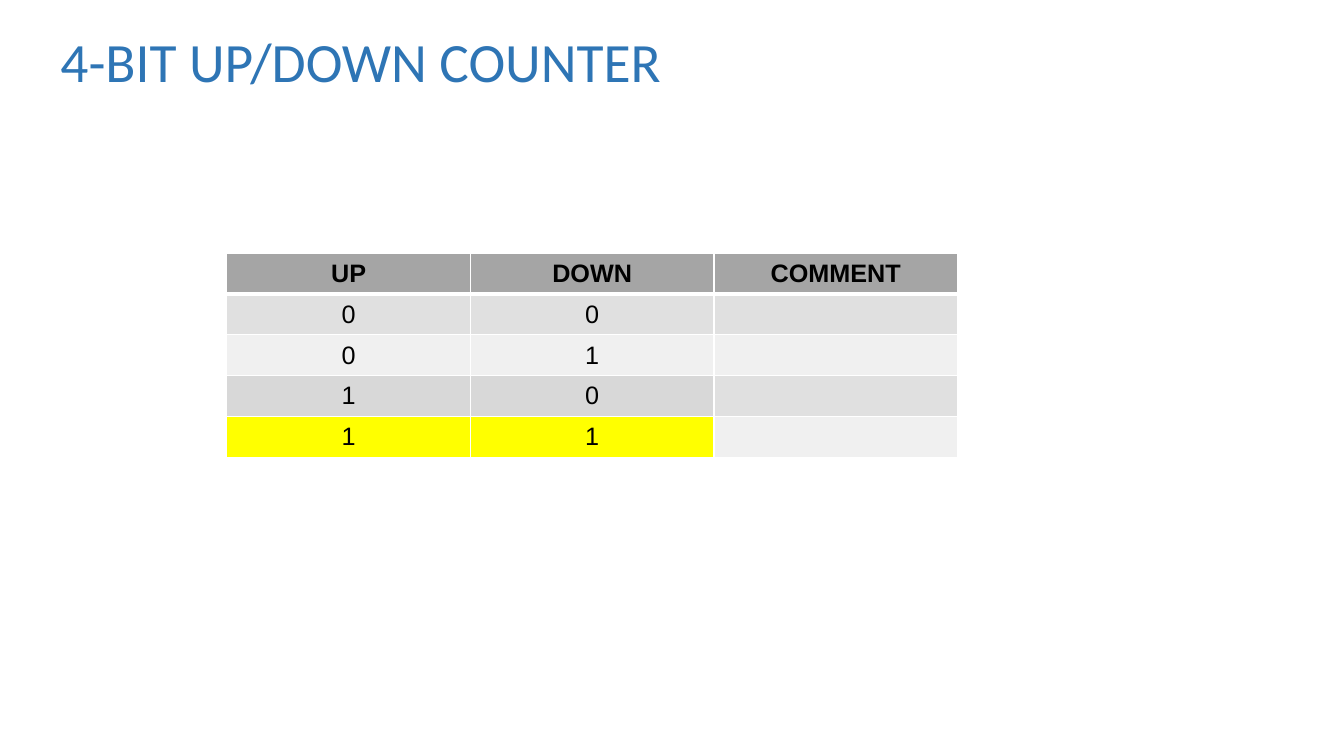
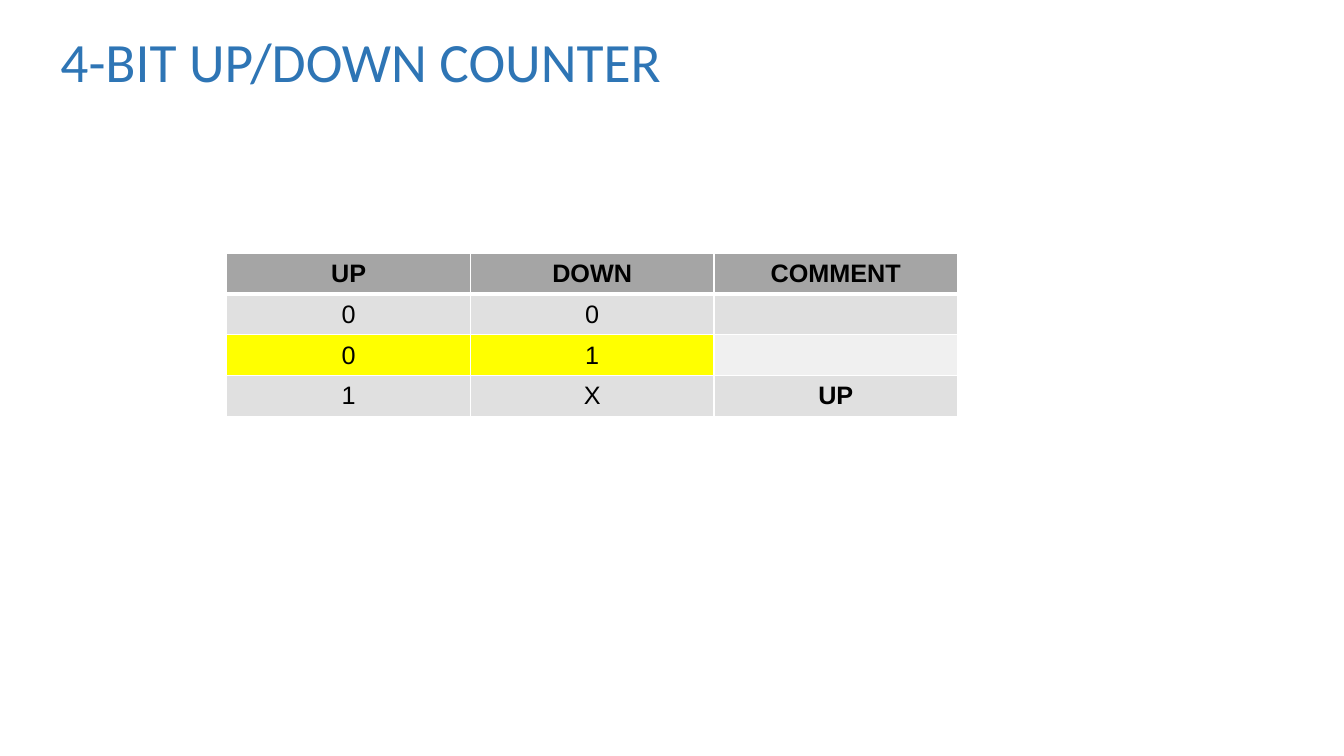
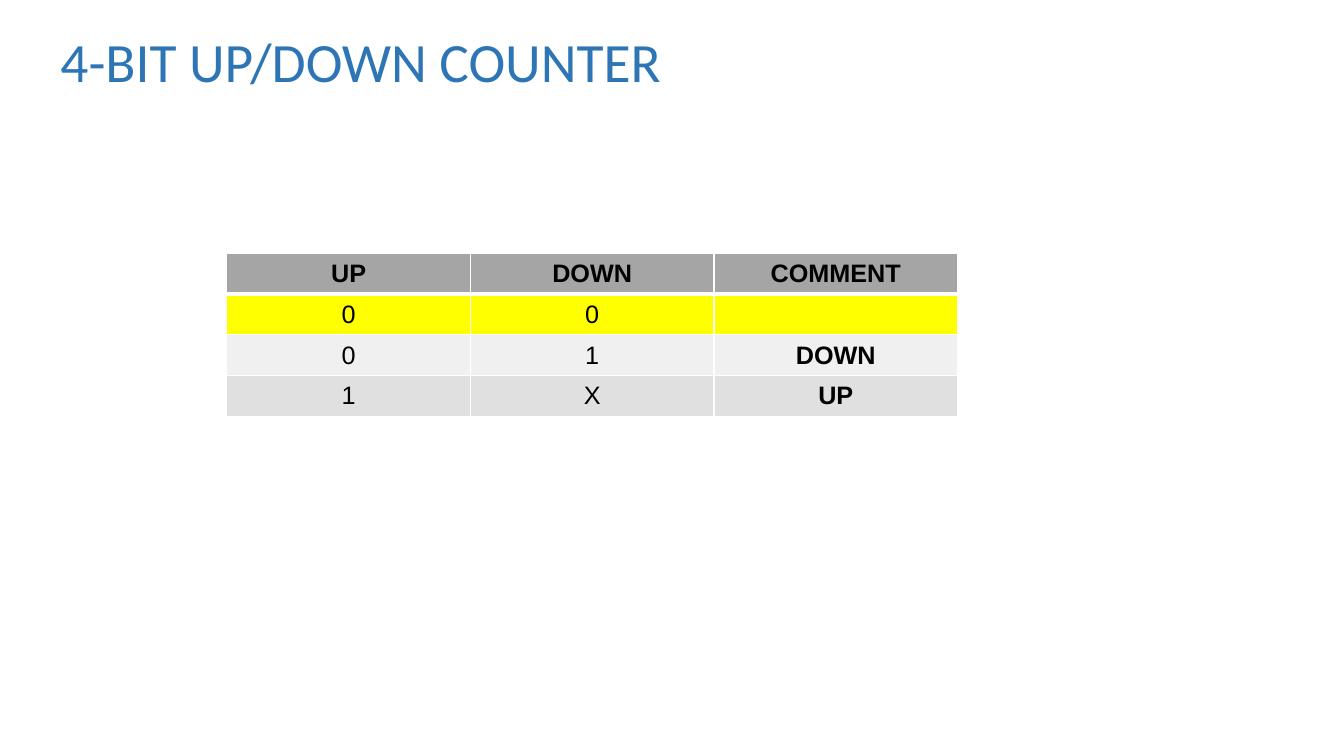
from dataclasses import dataclass

from lxml.etree import SubElement
from pptx import Presentation
from pptx.dml.color import RGBColor
from pptx.enum.text import MSO_ANCHOR, MSO_AUTO_SIZE, PP_ALIGN
from pptx.oxml.ns import qn
from pptx.util import Pt

EMU_PER_PX = 9525


@dataclass(frozen=True)
class Theme:
    title_colour: str = "2E75B5"
    text_colour: str = "000000"
    border: str = "FFFFFF"
    header: str = "A5A5A5"
    bands: tuple = ("E0E0E0", "F0F0F0")
    marked: str = "FFFF00"
    shaded: str = "D8D8D8"
    title_font: str = "Calibri"
    body_font: str = "Arial"
    title_size: float = 39.6
    body_size: float = 18
    thin: int = 1
    thick: int = 3


THEME = Theme()

SLIDE_SIZE = (1280, 720)
TITLE_BOX = (48, 33, 731, 116)
TABLE_ORIGIN = (216, 241)
COLUMN_WIDTH, ROW_HEIGHT = 232, 39

TITLE = "4-BIT UP/DOWN COUNTER"
HEADINGS = ("UP", "DOWN", "COMMENT")

# Each slide: the table rows, and {row: (colour, number of cells from the left)}
STEPS = (
    (
        (("0", "0", ""), ("0", "1", ""), ("1", "0", ""), ("1", "1", "")),
        {3: (THEME.shaded, 2), 4: (THEME.marked, 2)},
    ),
    (
        (("0", "0", ""), ("0", "1", ""), ("1", "X", "UP")),
        {2: (THEME.marked, 2)},
    ),
    (
        (("0", "0", ""), ("0", "1", "DOWN"), ("1", "X", "UP")),
        {1: (THEME.marked, 3)},
    ),
)


def px(length):
    return length * EMU_PER_PX


def add_text(paragraph, text, font_name, size, colour, bold=False):
    run = paragraph.add_run()
    run.text = text
    run.font.name = font_name
    run.font.size = Pt(size)
    run.font.bold = bold
    run.font.color.rgb = RGBColor.from_string(colour)


def place_title(slide, box):
    title = slide.shapes.title
    title.left, title.top, title.width, title.height = map(px, box)
    frame = title.text_frame
    frame.word_wrap = True
    frame.auto_size = MSO_AUTO_SIZE.NONE
    frame.vertical_anchor = MSO_ANCHOR.TOP
    frame.margin_top = 0
    paragraph = frame.paragraphs[0]
    paragraph.alignment = PP_ALIGN.LEFT
    paragraph.line_spacing = 0.9
    add_text(paragraph, TITLE, THEME.title_font, THEME.title_size,
             THEME.title_colour)


def set_borders(cell, top, bottom):
    properties = cell._tc.get_or_add_tcPr()
    sides = (("a:lnL", THEME.thin), ("a:lnR", THEME.thin),
             ("a:lnT", top), ("a:lnB", bottom))
    for tag, width in sides:
        line = SubElement(properties, qn(tag), w=str(Pt(width)))
        fill = SubElement(line, qn("a:solidFill"))
        SubElement(fill, qn("a:srgbClr"), val=THEME.border)


def cell_fill(row, column, highlights):
    if row == 0:
        return THEME.header
    colour, count = highlights.get(row, (None, 0))
    return colour if column < count else THEME.bands[(row - 1) % 2]


def format_cell(cell, text, row, column, colour):
    # Borders go in ahead of the fill, with a thick rule under the header
    set_borders(cell,
                top=THEME.thick if row == 1 else THEME.thin,
                bottom=THEME.thick if row == 0 else THEME.thin)
    cell.fill.solid()
    cell.fill.fore_color.rgb = RGBColor.from_string(colour)
    cell.vertical_anchor = MSO_ANCHOR.MIDDLE
    if text:
        paragraph = cell.text_frame.paragraphs[0]
        paragraph.alignment = PP_ALIGN.CENTER
        is_comment = column == len(HEADINGS) - 1
        add_text(paragraph, text, THEME.body_font, THEME.body_size,
                 THEME.text_colour, bold=row == 0 or is_comment)


def place_truth_table(slide, origin, body, highlights):
    rows = (HEADINGS, *body)
    left, top = origin
    table = slide.shapes.add_table(
        len(rows), len(HEADINGS), px(left), px(top),
        px(COLUMN_WIDTH * len(HEADINGS)), px(ROW_HEIGHT * len(rows))).table
    table.horz_banding = False
    for column in table.columns:
        column.width = px(COLUMN_WIDTH)
    for row, texts in enumerate(rows):
        table.rows[row].height = px(ROW_HEIGHT)
        for column, text in enumerate(texts):
            format_cell(table.cell(row, column), text, row, column,
                        cell_fill(row, column, highlights))


def add_counter_slide(presentation, body, highlights):
    title_only = presentation.slide_layouts[5]
    slide = presentation.slides.add_slide(title_only)
    place_title(slide, TITLE_BOX)
    place_truth_table(slide, TABLE_ORIGIN, body, highlights)


def main():
    presentation = Presentation()
    presentation.slide_width, presentation.slide_height = map(px, SLIDE_SIZE)
    for body, highlights in STEPS:
        add_counter_slide(presentation, body, highlights)
    presentation.save("out.pptx")


if __name__ == "__main__":
    main()
